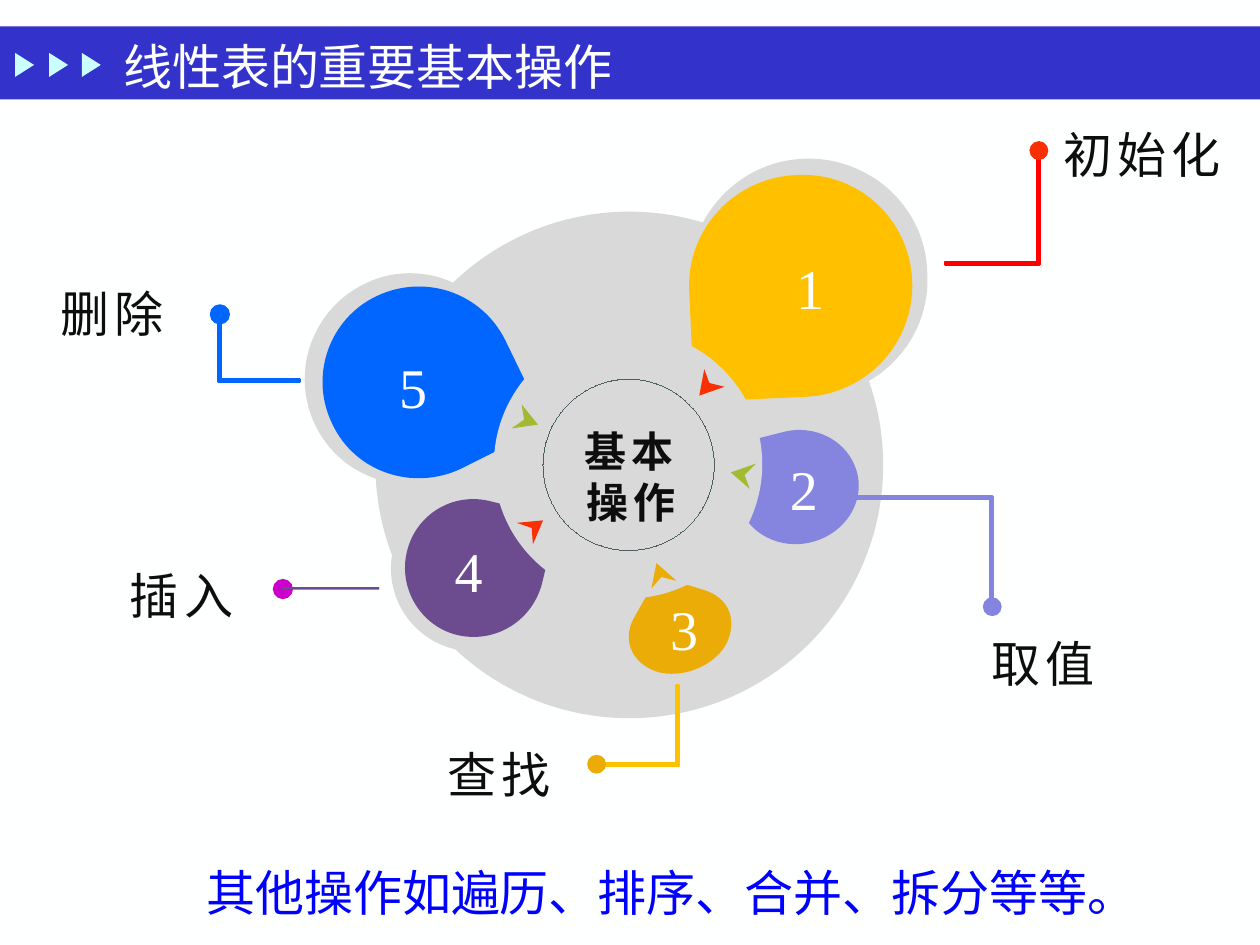
from math import cos, radians, sin

from lxml import etree
from pptx import Presentation
from pptx.dml.color import RGBColor
from pptx.enum.shapes import MSO_SHAPE as SHAPE
from pptx.enum.text import MSO_ANCHOR as ANCHOR, MSO_AUTO_SIZE as AUTO, PP_ALIGN as ALIGN
from pptx.oxml.ns import qn
from pptx.util import Inches, Pt

SERIF, SANS = "Times New Roman", "Noto Sans CJK SC"
GREY, INK = "D9D9D9", "0D0D0D"
RED, GOLD, AMBER = "F83003", "FFC000", "EBAC07"
LILAC, PURPLE, BLUE, GREEN, MAGENTA = "8585E0", "6C4C8F", "0066FF", "A2B932", "CC00CC"


def rgb(value):
    return RGBColor.from_string(value)


def turn(point, degrees):
    (x, y), a = point, radians(degrees)
    return x * cos(a) - y * sin(a), x * sin(a) + y * cos(a)


def level(points, degrees):
    """Outline that gives the points once its shape is rotated by degrees."""
    flat = [turn(p, -degrees) for p in points]
    mid = [(min(v) + max(v)) / 2 for v in zip(*flat)]
    cx, cy = turn(mid, degrees)
    return [(x + cx - mid[0], y + cy - mid[1]) for x, y in flat]


class Diagram:
    """Style and drawing methods for the current slide."""

    def __init__(self, prs):
        self.s = prs.slides.add_slide(prs.slide_layouts[6])
        self.s.background.fill.solid()
        self.s.background.fill.fore_color.rgb = rgb("FEFFFF")

    def paint(self, sp, fill=None, line=None, width=0):
        sp.shadow.inherit = False
        if fill:
            sp.fill.solid()
            sp.fill.fore_color.rgb = rgb(fill)
        else:
            sp.fill.background()
        if line:
            sp.line.color.rgb = rgb(line)
            # A hairline needs its zero width written out
            sp._element.spPr.find(qn("a:ln")).set("w", str(Pt(width)))
        else:
            sp.line.fill.background()
        return sp

    def shape(self, kind, x, y, w, h, fill=None, line=None, width=0):
        sp = self.s.shapes.add_shape(kind, Inches(x), Inches(y), Inches(w), Inches(h))
        return self.paint(sp, fill, line, width)

    def polygon(self, points, fill, line=None, width=0, rotation=0):
        emu = [(Inches(x), Inches(y)) for x, y in level(points, rotation)]
        builder = self.s.shapes.build_freeform(*emu[0])
        builder.add_line_segments(emu[1:], close=True)
        sp = self.paint(builder.convert_to_shape(), fill, line, width)
        sp.rotation = rotation
        return sp

    def drop(self, start, curves, tip, fill, rotation=0):
        """Round body of Bezier curves, closed by straight sides to a tip."""
        points = [start] + [p for curve in curves for p in curve] + [tip]
        sp = self.polygon(points, fill, rotation=rotation)
        lines = list(sp._element.iter(qn("a:lnTo")))
        for i in range(0, 3 * len(curves), 3):
            bezier = etree.Element(qn("a:cubicBezTo"))
            lines[i].addprevious(bezier)
            for line in lines[i:i + 3]:
                bezier.append(line[0])
                line.getparent().remove(line)

    def elbow(self, x, y, end_x, end_y, color, t=0.02):
        """Thin L-shaped bar with its outer corner at x, y."""
        ix = x + (t if end_x > x else -t)
        iy = y + (t if end_y > y else -t)
        self.polygon([(x, y), (end_x, y), (end_x, iy), (ix, iy), (ix, end_y), (x, end_y)],
                     color, color, 1.5)

    def text(self, text, x, y, w, h, size=28, color=INK, font=SERIF, bold=False,
             spacing=3, inset=(0.13, 0.07), wrap=False, align=ALIGN.CENTER,
             anchor=ANCHOR.TOP, auto=AUTO.SHAPE_TO_FIT_TEXT):
        tf = self.s.shapes.add_textbox(Inches(x), Inches(y), Inches(w), Inches(h)).text_frame
        tf.margin_left = tf.margin_right = Inches(inset[0])
        tf.margin_top = tf.margin_bottom = Inches(inset[1])
        tf.word_wrap, tf.vertical_anchor, tf.auto_size = wrap, anchor, auto
        tf.text = text
        p = tf.paragraphs[0]
        p.alignment = align
        r = p.runs[0]
        r.font.size, r.font.bold, r.font.name = Pt(size), bold, font
        r.font.color.rgb = rgb(color)
        rpr = r.font._element
        if spacing:
            rpr.set("spc", str(spacing * 100))
        etree.SubElement(rpr, qn("a:ea")).set("typeface", SANS)


def main():
    prs = Presentation()
    prs.slide_width, prs.slide_height = Inches(10), Inches(7.5)
    d = Diagram(prs)

    # Title bar
    d.shape(SHAPE.RECTANGLE, 0, 0.21, 10, 0.58, "3333CC")
    for x in (0.1, 0.37, 0.63):
        d.shape(SHAPE.ISOSCELES_TRIANGLE, x, 0.44, 0.19, 0.15, "CBFFFF").rotation = 90
    d.text("线性表的重要基本操作", 0.88, 0.15, 6.73, 0.75, color="FEFFFF", spacing=0,
           inset=(0.1, 0.05), wrap=True, align=ALIGN.LEFT, anchor=ANCHOR.MIDDLE, auto=AUTO.NONE)

    # Grey halos and disc
    halos = [
        ((5.47, 2.25), [((5.45, 1.72), (5.86, 1.28), (6.38, 1.26)),
                        ((6.9, 1.24), (7.35, 1.64), (7.36, 2.17)),
                        ((7.39, 2.69), (6.98, 3.13), (6.46, 3.15))], (5.51, 3.19)),
        ((3.62, 3.76), [((3.2, 3.96), (2.7, 3.79), (2.5, 3.37)),
                        ((2.3, 2.95), (2.48, 2.45), (2.9, 2.25)),
                        ((3.31, 2.05), (3.81, 2.23), (4.01, 2.65))], (4.38, 3.4)),
        ((4.39, 4.61), [((4.34, 4.97), (4.01, 5.21), (3.65, 5.16)),
                        ((3.3, 5.1), (3.06, 4.77), (3.11, 4.42)),
                        ((3.17, 4.07), (3.5, 3.82), (3.85, 3.88))], (4.49, 3.98)),
    ]
    for start, curves, tip in halos:
        d.drop(start, curves, tip, GREY)
    d.shape(SHAPE.OVAL, 2.98, 1.68, 4.03, 4.02, GREY)

    # Coloured drops
    drops = [
        ((4.3, 4.64), [((4.22, 4.93), (3.93, 5.11), (3.63, 5.04)),
                       ((3.34, 4.97), (3.16, 4.67), (3.23, 4.38)),
                       ((3.3, 4.08), (3.6, 3.9), (3.9, 3.98))], (4.43, 4.11), PURPLE, 0),
        ((3.66, 3.72), [((3.28, 3.9), (2.82, 3.75), (2.64, 3.37)),
                        ((2.45, 2.99), (2.61, 2.53), (2.99, 2.35)),
                        ((3.37, 2.17), (3.82, 2.32), (4.01, 2.7))], (4.34, 3.38), BLUE, 0),
        ((5.47, 2.3), [((5.45, 1.82), (5.83, 1.41), (6.32, 1.39)),
                       ((6.81, 1.36), (7.22, 1.74), (7.24, 2.23)),
                       ((7.26, 2.72), (6.88, 3.13), (6.39, 3.15))], (5.51, 3.19), GOLD, 0),
        ((6.21, 3.43), [((6.47, 3.36), (6.73, 3.5), (6.8, 3.74)),
                        ((6.87, 3.98), (6.71, 4.23), (6.45, 4.3)),
                        ((6.2, 4.37), (5.93, 4.24), (5.86, 3.99))], (5.74, 3.55), LILAC, 346.9),
        ((5.58, 4.68), [((5.79, 4.74), (5.86, 4.93), (5.76, 5.12)),
                        ((5.66, 5.29), (5.41, 5.39), (5.21, 5.33)),
                        ((5.01, 5.26), (4.93, 5.07), (5.04, 4.89))], (5.22, 4.57), AMBER, 340.9),
    ]
    for start, curves, tip, color, rotation in drops:
        d.drop(start, curves, tip, color, rotation)

    # Centre disc, pointers and ring
    d.shape(SHAPE.OVAL, 3.92, 2.62, 2.13, 2.13, GREY)
    pointers = [
        ([(4.1, 4.15), (4.31, 4.13), (4.23, 4.32), (4.22, 4.19)], RED, 0),
        ([(4.14, 3.21), (4.27, 3.37), (4.06, 3.4), (4.16, 3.33)], GREEN, 0),
        ([(5.75, 3.07), (5.55, 3.14), (5.59, 2.93), (5.63, 3.04)], RED, 0),
        ([(5.95, 3.88), (5.8, 3.75), (6, 3.68), (5.91, 3.77)], GREEN, 327.9),
        ([(5.17, 4.67), (5.21, 4.47), (5.37, 4.61), (5.25, 4.58)], AMBER, 343.4),
    ]
    for points, color, rotation in pointers:
        d.polygon(points, color, rotation=rotation)
    d.shape(SHAPE.OVAL, 4.31, 3.01, 1.36, 1.36, line="4C6062")
    d.text("基本操作", 4.35, 3.31, 1.32, 0.94, size=24, bold=True, wrap=True)

    # Leader lines and their end dots
    for x, y, end_x, end_y, color in [
            (8.25, 2.1, 7.5, 1.15, "FF0000"), (7.88, 3.94, 6.51, 4.75, LILAC),
            (5.39, 6.08, 4.72, 5.44, GOLD), (1.73, 3.03, 2.38, 2.45, BLUE)]:
        d.elbow(x, y, end_x, end_y, color)
    for x, y, color, line in [
            (8.17, 1.12, RED, None), (7.8, 4.74, LILAC, None), (2.17, 4.6, MAGENTA, MAGENTA),
            (4.66, 5.99, AMBER, None), (1.67, 2.42, BLUE, BLUE)]:
        d.shape(SHAPE.OVAL, x, y, 0.15, 0.15, color, line, 0.75)
    d.shape(SHAPE.RECTANGLE, 2.24, 4.66, 0.77, 0.02, PURPLE)

    # Operation names and numbers
    for name, x, y, w, wrap in [
            ("初始化", 8.28, 0.92, 1.57, False), ("查找", 3.39, 5.84, 1.14, False),
            ("插入", 0.87, 4.42, 1.14, False), ("取值", 7.48, 4.96, 1.59, True),
            ("删除", 0.32, 2.18, 1.14, False)]:
        d.text(name, x, y, w, 0.61, wrap=wrap)
    for number, x, y in [("1", 6.16, 1.94), ("5", 3.01, 2.73), ("4", 3.45, 4.19),
                         ("3", 5.16, 4.65), ("2", 6.11, 3.54)]:
        d.text(number, x, y, 0.54, 0.67, size=32, color="FFFFFF")

    # Closing remark
    d.text("其他操作如遍历、排序、合并、拆分等等。", 1.54, 6.8, 7.66, 0.57, color="0000FF",
           font=SANS, spacing=0, inset=(0.1, 0.05), align=ALIGN.LEFT)

    prs.save("out.pptx")


if __name__ == "__main__":
    main()
